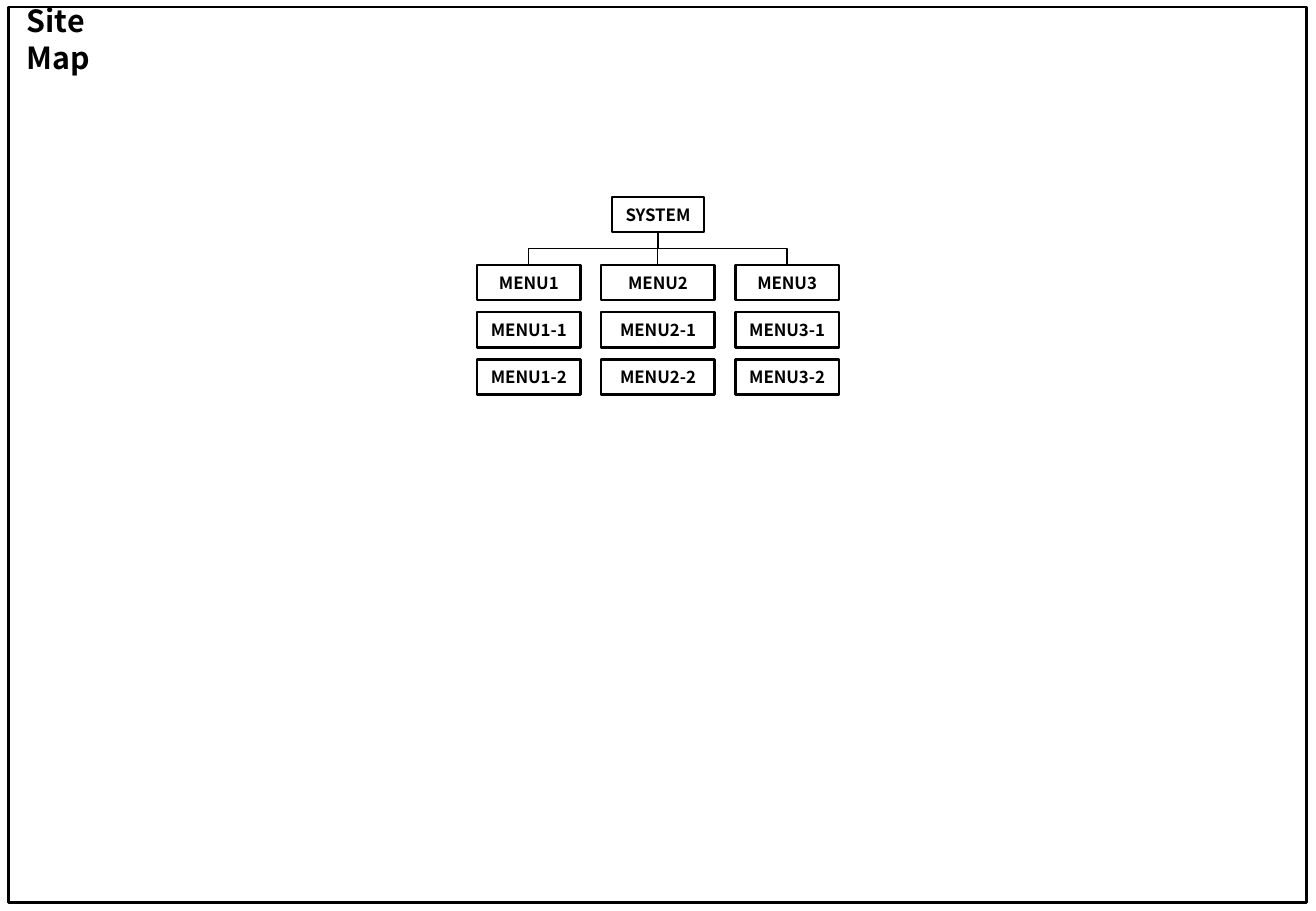
from pptx import Presentation
from pptx.dml.color import RGBColor
from pptx.enum.shapes import MSO_CONNECTOR, MSO_SHAPE
from pptx.enum.text import MSO_ANCHOR, MSO_AUTO_SIZE, PP_ALIGN
from pptx.oxml.ns import qn
from pptx.util import Pt
from lxml.etree import SubElement

COLORS = {"ink": "000000", "paper": "FFFFFF"}
INK = RGBColor.from_string(COLORS["ink"])
PAPER = RGBColor.from_string(COLORS["paper"])


def add_box(x, y, w, h):
    box = s.shapes.add_shape(MSO_SHAPE.RECTANGLE, Pt(x), Pt(y), Pt(w), Pt(h))
    box.shadow.inherit = False
    box.fill.solid()
    box.fill.fore_color.rgb = PAPER
    box.line.color.rgb = INK
    box.line.width = Pt(1.5)
    return box


def write(tf, text, size, align):
    tf.vertical_anchor = MSO_ANCHOR.MIDDLE
    p = tf.paragraphs[0]
    p.alignment = align
    r = p.add_run()
    r.text = text
    font = {"name": "Noto Sans CJK KR", "size": Pt(size), "bold": True}
    for name, value in font.items():
        setattr(r.font, name, value)
    r.font.color.rgb = INK


prs = Presentation()
prs.slide_width, prs.slide_height = Pt(780.48), Pt(540)
s = prs.slides.add_slide(prs.slide_layouts[5])

# Page frame behind the title
title = s.shapes.title
frame = add_box(5.04, 4.32, 769.68, 530.64)
title.element.addprevious(frame.element)

place = {"left": 8.64, "top": -2.16, "width": 86.4, "height": 50.4}
for name, value in place.items():
    setattr(title, name, Pt(value))
tf = title.text_frame
tf.word_wrap = True
tf.auto_size = MSO_AUTO_SIZE.SHAPE_TO_FIT_TEXT
write(tf, "Site Map", 18, PP_ALIGN.LEFT)
tf.paragraphs[0].line_spacing = Pt(22)

# Site tree: one root and a column of pages under each menu
CENTER, COLUMN_STEP = 390.24, 76.6
ROOT_TOP, MENU_TOP, ROW_STEP, BOX_H = 116.64, 156.96, 28.08, 20.9
WIDTHS = [61.5, 67.3, 61.5]

nodes = [("SYSTEM", CENTER, ROOT_TOP, 54.7)]
for col, width in enumerate(WIDTHS):
    for row, suffix in enumerate(["", "-1", "-2"]):
        nodes.append((f"MENU{col + 1}{suffix}", CENTER + (col - 1) * COLUMN_STEP,
                      MENU_TOP + row * ROW_STEP, width))

for text, center, top, width in nodes:
    box = add_box(center - width / 2, top, width, BOX_H)
    box.text_frame.word_wrap = False
    write(box.text_frame, text, 10, PP_ALIGN.CENTER)

# Elbows are laid out sideways, then turned so that they leave the root downwards
start, end = ROOT_TOP + BOX_H, MENU_TOP
half_drop, mid_y = (end - start) / 2, (start + end) / 2
for side in (-1, 0, 1):
    mid_x = CENTER + side * COLUMN_STEP / 2
    half_span = abs(side) * COLUMN_STEP / 2
    turn, lead = (90, -half_drop) if side < 0 else (270, half_drop)
    line = s.shapes.add_connector(
        MSO_CONNECTOR.ELBOW, Pt(mid_x + lead), Pt(mid_y - half_span),
        Pt(mid_x - lead), Pt(mid_y + half_span))
    line.line.color.rgb = INK
    line.line.width = Pt(0.75)
    sp_pr = line.element.spPr
    sp_pr.find(qn("a:xfrm")).set("rot", str(turn * 60000))
    SubElement(sp_pr, qn("a:effectLst"))

prs.save("out.pptx")
